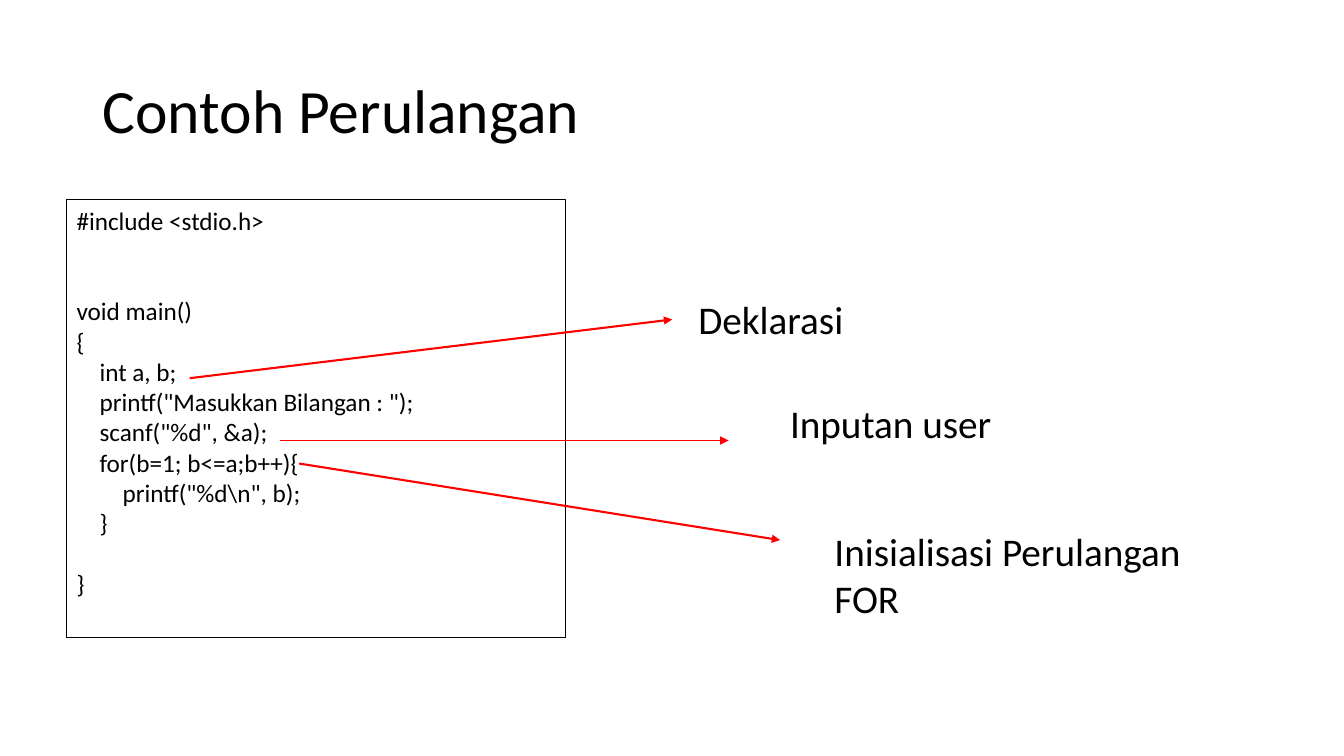
from lxml import etree
from pptx import Presentation
from pptx.dml.color import RGBColor
from pptx.enum.shapes import MSO_CONNECTOR, MSO_SHAPE
from pptx.enum.text import MSO_ANCHOR, PP_ALIGN
from pptx.oxml.ns import qn
from pptx.util import Cm, Pt

RECT = MSO_SHAPE.RECTANGLE
LINE = MSO_CONNECTOR.STRAIGHT
LEFT = PP_ALIGN.LEFT
TOP = MSO_ANCHOR.TOP
MID = MSO_ANCHOR.MIDDLE
BLACK = RGBColor(0, 0, 0)
RED = RGBColor(255, 0, 0)
FONT = "Calibri"
STEP = Cm(0.58)
ROW = 21.6

CODE = [
    (0, 0, "#include <stdio.h>"),
    (2, 0, "void main()"),
    (0, 0, "{"),
    (0, 1, "int a, b;"),
    (0, 1, 'printf("Masukkan Bilangan : ");'),
    (0, 1, 'scanf("%d", &a);'),
    (0, 1, "for(b=1; b<=a;b++){"),
    (0, 2, 'printf("%d\\n", b);'),
    (0, 1, "}"),
    (1, 0, "}"),
]
NOTES = [
    ("Deklarasi", (17.35, 7.32, 7.34, 1.45)),
    ("Inputan user", (19.66, 9.93, 7.34, 1.47)),
    ("Inisialisasi Perulangan FOR", (20.78, 13.16, 10.74, 2.64)),
]
ARROWS = [
    ((4.78, 9.53, 16.94, 8.05), 1.5),
    ((7.06, 11.1, 18.36, 11.1), 0.5),
    ((7.54, 11.68, 19.66, 13.61), 1.5),
]


def add_run(para, text, size):
    """Add one formatted run to a left-aligned paragraph."""
    para.alignment = LEFT
    run = para.add_run()
    run.text = text
    font = run.font
    font.name, font.size = FONT, Pt(size)
    font.color.rgb = BLACK


def set_title(slide, text, box):
    """Place and fill the title placeholder."""
    title = slide.shapes.title
    title.left, title.top, title.width, title.height = map(Cm, box)
    frame = title.text_frame
    frame.vertical_anchor = MID
    para = frame.paragraphs[0]
    para.line_spacing = 0.9
    add_run(para, text, 44)


def add_code(slide, lines, box):
    """Draw the framed code, with gaps and indents as paragraph format."""
    shape = slide.shapes.add_shape(RECT, *map(Cm, box))
    shape.shadow.inherit = False
    shape.fill.background()
    shape.line.color.rgb = BLACK
    shape.line.width = Pt(0.75)
    frame = shape.text_frame
    frame.word_wrap = True
    frame.vertical_anchor = TOP
    for num, (gap, depth, text) in enumerate(lines):
        para = frame.add_paragraph() if num else frame.paragraphs[0]
        add_run(para, text, 18)
        para.space_before = Pt(gap * ROW)
        para._p.get_or_add_pPr().set("marL", str(depth * STEP))


def add_note(slide, text, box):
    """Add a wrapped label."""
    frame = slide.shapes.add_textbox(*map(Cm, box)).text_frame
    frame.word_wrap = True
    add_run(frame.paragraphs[0], text, 28)


def add_arrow(slide, ends, width):
    """Draw a red arrow with a triangle at its end."""
    arrow = slide.shapes.add_connector(LINE, *map(Cm, ends))
    arrow.line.color.rgb = RED
    arrow.line.width = Pt(width)
    etree.SubElement(arrow.line._get_or_add_ln(), qn("a:tailEnd"), type="triangle")
    etree.SubElement(arrow._element.spPr, qn("a:effectLst"))


def main():
    """Build and save the slide."""
    deck = Presentation()
    deck.slide_width, deck.slide_height = Cm(33.87), Cm(19.05)
    slide = deck.slides.add_slide(deck.slide_layouts[5])
    set_title(slide, "Contoh Perulangan", (2.33, 1.01, 29.21, 3.68))
    add_code(slide, CODE, (1.68, 5.04, 12.57, 11.02))
    for ends, width in ARROWS:
        add_arrow(slide, ends, width)
    for text, box in NOTES:
        add_note(slide, text, box)
    deck.save("out.pptx")


if __name__ == "__main__":
    main()
